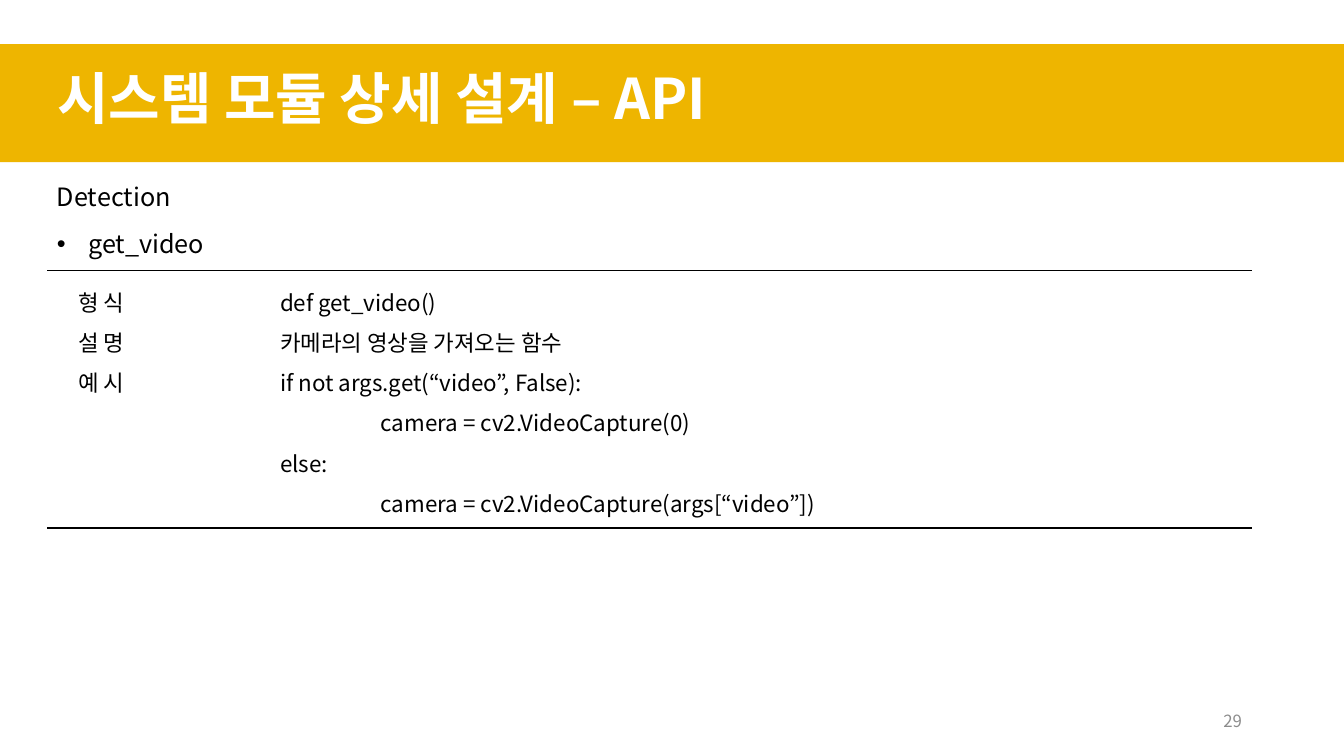
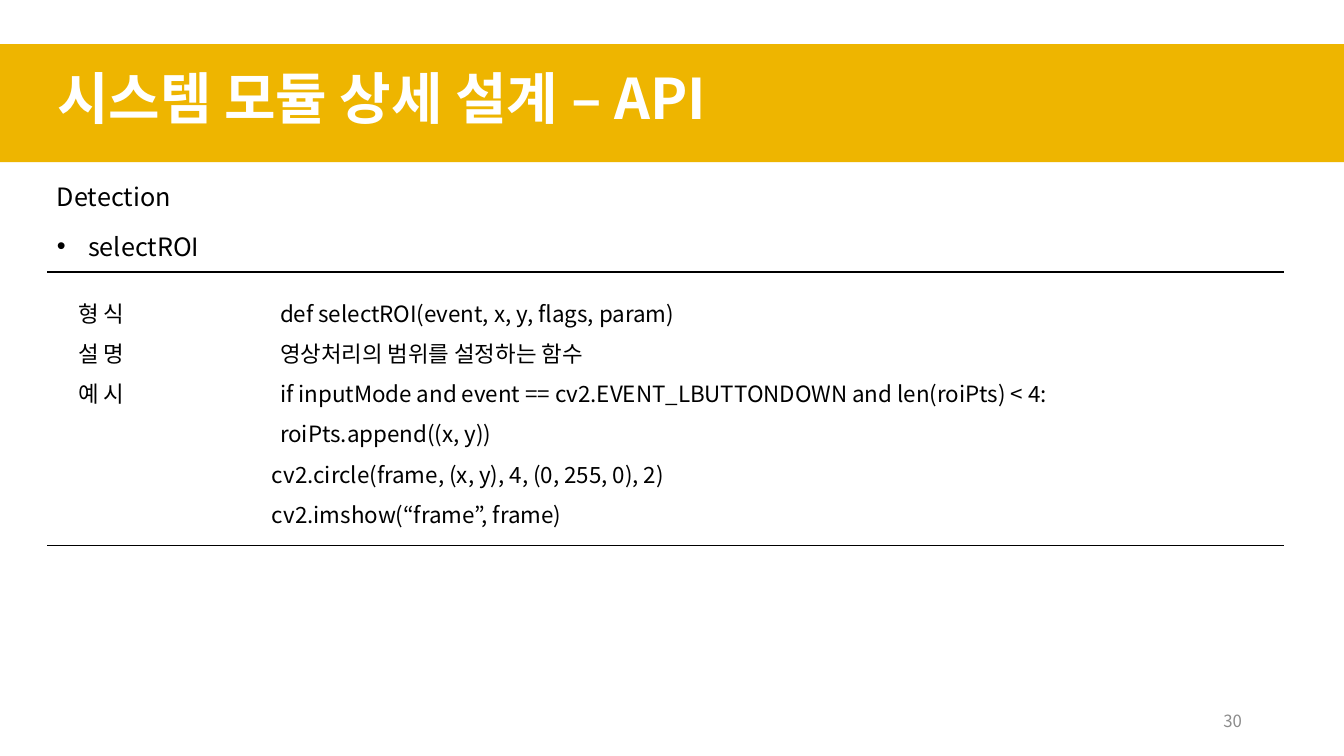
from lxml import etree
from pptx import Presentation
from pptx.dml.color import RGBColor
from pptx.enum.shapes import MSO_CONNECTOR, MSO_SHAPE
from pptx.enum.text import MSO_ANCHOR, MSO_AUTO_SIZE, PP_ALIGN
from pptx.oxml.ns import qn
from pptx.util import Inches, Pt

COLORS = {"band": "EEB500", "title": "FFFFFF", "text": "000000", "number": "8C8C8C"}
FONT = "Noto Sans CJK KR"
TITLE = "시스템 모듈 상세 설계 – API"

presentation = Presentation()
presentation.slide_width = Inches(13.33)
presentation.slide_height = Inches(7.5)

# Grid of 100 columns and 100 rows
COLUMN = presentation.slide_width / 100
ROW = presentation.slide_height / 100
LEFT = 3.5
CODE = 15       # code column, measured from the text edge
NESTED = 22.5   # nested code
OUTDENT = 14.4  # code set slightly left of the code column

# Each row of a function: label, indent in columns, text
FUNCTIONS = [
    {"number": "29", "name": "get_video", "name_top": 29.6,
     "rules": (35.75, 69.85), "right": 93.15, "body_top": 35.75,
     "rows": [("형 식", CODE, "def get_video()"),
              ("설 명", CODE, "카메라의 영상을 가져오는 함수"),
              ("예 시", CODE, "if not args.get(“video”, False):"),
              ("", NESTED, "camera = cv2.VideoCapture(0)"),
              ("", CODE, "else:"),
              ("", NESTED, "camera = cv2.VideoCapture(args[“video”])")]},
    {"number": "30", "name": "selectROI", "name_top": 29.9,
     "rules": (36, 72.15), "right": 95.5, "body_top": 37.2,
     "rows": [("형 식", CODE, "def selectROI(event, x, y, flags, param)"),
              ("설 명", CODE, "영상처리의 범위를 설정하는 함수"),
              ("예 시", CODE, "if inputMode and event == cv2.EVENT_LBUTTONDOWN and len(roiPts) < 4:"),
              ("", CODE, "roiPts.append((x, y))"),
              ("", OUTDENT, "cv2.circle(frame, (x, y), 4, (0, 255, 0), 2)"),
              ("", OUTDENT, "cv2.imshow(“frame”, frame)")]},
]


def format_text(shape, size, color="text", bold=False):
    for paragraph in shape.text_frame.paragraphs:
        for run in paragraph.runs:
            run.font.size = Pt(size)
            run.font.bold = bold
            run.font.color.rgb = RGBColor.from_string(COLORS[color])
            run.font.name = FONT
            etree.SubElement(run.font._element, qn("a:ea"), typeface=FONT)


def add_text(slide, left, top, width, height, text=""):
    shape = slide.shapes.add_textbox(int(left * COLUMN), int(top * ROW),
                                     int(width * COLUMN), int(height * ROW))
    shape.text_frame.word_wrap = True
    shape.text_frame.text = text
    return shape


# Shared layout: title position and the band behind it
layout = presentation.slide_layouts[5]
layout_title = layout.placeholders[0]
layout_title.left, layout_title.top = int(LEFT * COLUMN), int(7.75 * ROW)
layout_title.width, layout_title.height = int(96.5 * COLUMN), int(10.25 * ROW)
slides = [presentation.slides.add_slide(layout) for function in FUNCTIONS]

band = slides[0].shapes.add_shape(MSO_SHAPE.RECTANGLE, 0, int(5.85 * ROW),
                                  presentation.slide_width, int(15.6 * ROW))
band.shadow.inherit = False
band.fill.solid()
band.fill.fore_color.rgb = RGBColor.from_string(COLORS["band"])
band.line.fill.background()
layout.shapes._spTree.insert(2, band._element)

for slide, function in zip(slides, FUNCTIONS):
    # Title
    title = slide.shapes.title
    title.text_frame.text = TITLE
    title.text_frame.auto_size = MSO_AUTO_SIZE.NONE
    title.text_frame.vertical_anchor = MSO_ANCHOR.TOP
    title.text_frame.paragraphs[0].alignment = PP_ALIGN.LEFT
    format_text(title, 40, "title", bold=True)

    # Module and function name
    module = add_text(slide, LEFT, 23.35, 30.25, 5.35, "Detection")
    format_text(module, 18)
    name = add_text(slide, LEFT, function["name_top"], 94.35, 5.35, function["name"])
    properties = name.text_frame.paragraphs[0]._p.get_or_add_pPr()
    properties.set("marL", str(Inches(0.31)))
    properties.set("indent", str(-Inches(0.31)))
    etree.SubElement(properties, qn("a:buFont"), typeface="Arial")
    etree.SubElement(properties, qn("a:buChar"), char="•")
    format_text(name, 18)

    # Rules above and below the description
    for rule_row in function["rules"]:
        rule = slide.shapes.add_connector(
            MSO_CONNECTOR.STRAIGHT, int(LEFT * COLUMN), int(rule_row * ROW),
            int(function["right"] * COLUMN), int(rule_row * ROW))
        rule.line.color.rgb = RGBColor.from_string(COLORS["text"])
        rule.line.width = Pt(1)
        etree.SubElement(rule._element.spPr, qn("a:effectLst"))

    # Description: labels with a tab stop, further code lines with an indent
    body = add_text(slide, 5.1, function["body_top"], 85.35, 33.6)
    for index, (label, indent, text) in enumerate(function["rows"]):
        text_frame = body.text_frame
        paragraph = text_frame.add_paragraph() if index else text_frame.paragraphs[0]
        properties = paragraph._p.get_or_add_pPr()
        position = str(int(indent * COLUMN))
        if label:
            paragraph.text = f"{label}\t{text}"
            tabs = etree.SubElement(properties, qn("a:tabLst"))
            etree.SubElement(tabs, qn("a:tab"), pos=position, algn="l")
        else:
            paragraph.text = text
            properties.set("marL", position)
            properties.set("indent", "0")
        paragraph.line_spacing = 1.5
    format_text(body, 16)

    # Slide number
    number = add_text(slide, 70.65, 92.7, 22.5, 5.35, function["number"])
    number.text_frame.vertical_anchor = MSO_ANCHOR.MIDDLE
    number.text_frame.paragraphs[0].alignment = PP_ALIGN.RIGHT
    format_text(number, 12, "number")

presentation.save("out.pptx")
